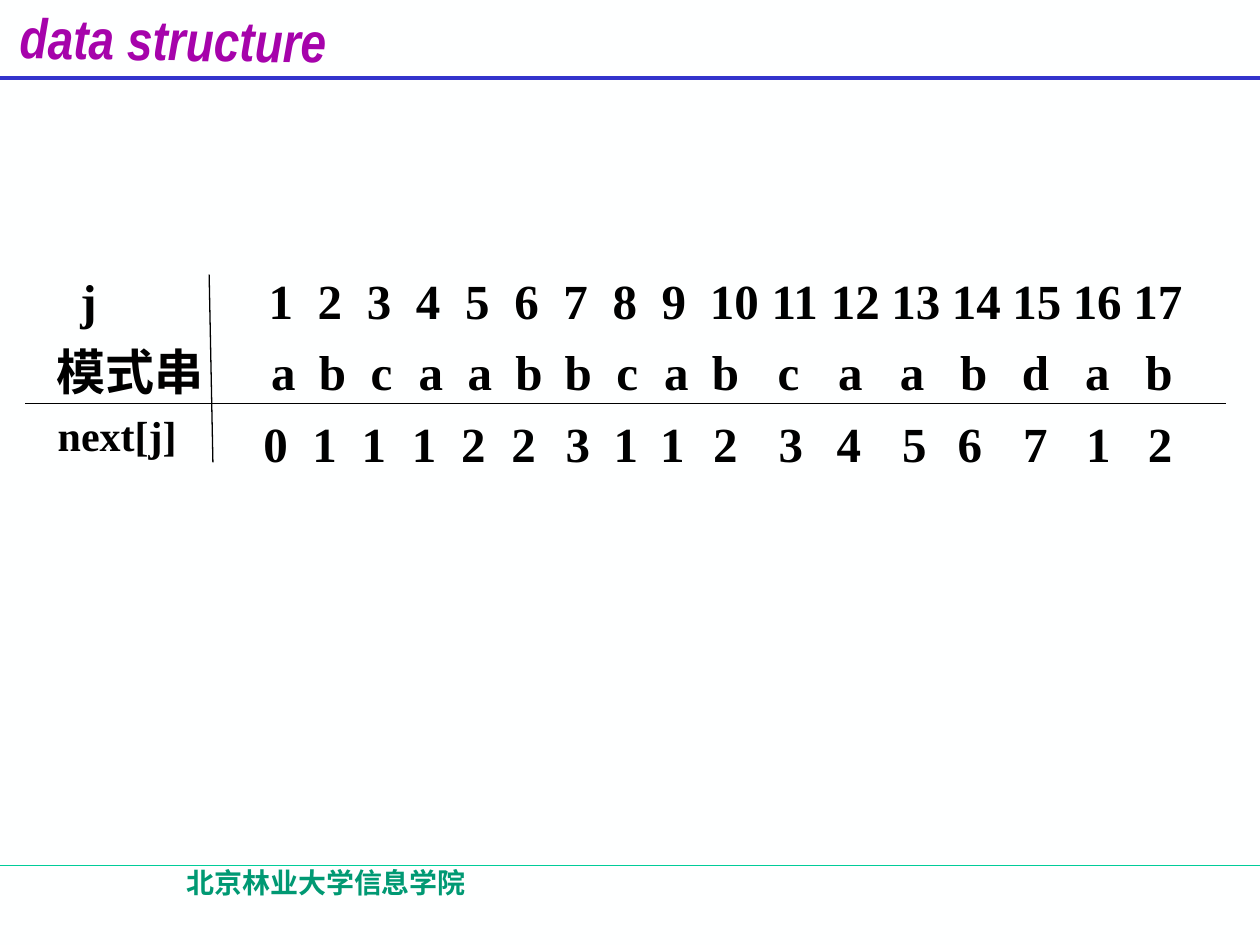
import dataclasses

import pptx
import pptx.dml.color
import pptx.enum.shapes
import pptx.enum.text
import pptx.oxml
import pptx.oxml.ns
import pptx.util

Inches = pptx.util.Inches
Pt = pptx.util.Pt
ALIGN = pptx.enum.text.PP_ALIGN


def rgb(value):
    return pptx.dml.color.RGBColor.from_string(value)


@dataclasses.dataclass(frozen=True)
class Theme:
    background: str = "FEFFFF"
    ink: str = "000000"
    title: str = "A603AB"
    header_rule: str = "3333CC"
    footer_rule: str = "00CC99"
    footer: str = "009973"
    serif: str = "Times New Roman"
    narrow: str = "Arial Narrow"
    cjk: str = "Noto Sans CJK SC"
    title_size: int = 32
    body_size: int = 28
    label_size: int = 24
    footer_size: int = 16
    thin: float = 0.75
    thick: float = 2.25


class SlideBuilder:
    def __init__(self, slide, theme):
        self.s = slide
        self.theme = theme
        fill = slide.background.fill
        fill.solid()
        fill.fore_color.rgb = rgb(theme.background)

    def line(self, x1, y1, x2, y2, color, width):
        c = self.s.shapes.add_connector(
            pptx.enum.shapes.MSO_CONNECTOR.STRAIGHT,
            Inches(x1), Inches(y1), Inches(x2), Inches(y2))
        c.line.color.rgb = rgb(color)
        c.line.width = Pt(width)
        c._element.spPr.append(pptx.oxml.parse_xml(
            "<a:effectLst %s/>" % pptx.oxml.ns.nsdecls("a")))

    def format(self, p, size, font, color, italic=None):
        for r in p.runs:
            r.font.size = Pt(size)
            r.font.name = font
            r.font.bold = True
            r.font.italic = italic
            r.font.color.rgb = rgb(color)
            ea = pptx.oxml.parse_xml('<a:ea %s typeface="%s"/>' % (
                pptx.oxml.ns.nsdecls("a"), self.theme.cjk))
            r.font._element.find(pptx.oxml.ns.qn("a:latin")).addnext(ea)

    def box(self, x, y, w, h, wrap=False, inset=True):
        sp = self.s.shapes.add_textbox(Inches(x), Inches(y), Inches(w), Inches(h))
        tf = sp.text_frame
        tf.word_wrap = wrap
        if not inset:
            tf.margin_left = tf.margin_right = 0
            tf.margin_top = tf.margin_bottom = 0
        return sp

    def text(self, text, x, y, w, h, size, font, color,
             italic=None, align=ALIGN.LEFT, wrap=False, inset=True):
        sp = self.box(x, y, w, h, wrap, inset)
        p = sp.text_frame.paragraphs[0]
        p.text = text
        p.alignment = align
        self.format(p, size, font, color, italic)
        return sp

    def tabbed_rows(self, rows, x, y, w, h, gap):
        tf = self.box(x, y, w, h, wrap=True).text_frame
        for i, (text, stops) in enumerate(rows):
            p = tf.paragraphs[0] if i == 0 else tf.add_paragraph()
            p.text = text
            tabs = pptx.oxml.parse_xml(
                "<a:tabLst %s/>" % pptx.oxml.ns.nsdecls("a"))
            for center, kind in stops:
                tab = tabs.makeelement(pptx.oxml.ns.qn("a:tab"), {
                    "pos": str(Inches(round(center - x - 0.1, 2))),
                    "algn": kind})
                tabs.append(tab)
            p._p.get_or_add_pPr().append(tabs)
            if i:
                p.space_before = Pt(gap)
            self.format(p, self.theme.body_size, self.theme.serif, self.theme.ink)


def centers(start, step, count):
    return [(start + step * i, "ctr") for i in range(count)]


def main():
    theme = Theme()
    prs = pptx.Presentation()
    prs.slide_width = Inches(10)
    prs.slide_height = Inches(7.5)
    b = SlideBuilder(prs.slides.add_slide(prs.slide_layouts[6]), theme)

    b.line(0, 6.87, 10, 6.87, theme.footer_rule, theme.thin)
    b.line(0, 0.62, 10, 0.62, theme.header_rule, theme.thick)
    title = b.text("data structure", 0.06, -0.01, 2.7, 0.54,
                   theme.title_size, theme.narrow, theme.title, italic=True)
    title.rotation = 0.8

    positions = "\t".join(str(j) for j in range(1, 18))
    pattern = "\t".join("abcaabbcabcaabdab")
    b.tabbed_rows([
        ("\tj\t" + positions,
         [(0.64, "l")] + centers(2.23, 0.39, 9) + centers(5.83, 0.48, 8)),
        ("模式串\t" + pattern,
         centers(2.25, 0.39, 10) + centers(6.26, 0.49, 7)),
    ], 0.35, 2.1, 9.29, 1.18, gap=7)

    b.text("next[j]", 0.36, 3.2, 1.3, 0.5,
           theme.label_size, theme.serif, theme.ink)
    b.line(0.2, 3.2, 9.73, 3.2, theme.ink, theme.thin)
    b.line(1.69, 3.67, 1.66, 2.18, theme.ink, theme.thin)

    next_lefts = [2.09, 2.48, 2.87, 3.27, 3.66, 4.06, 4.49, 4.87, 5.24,
                  5.66, 6.18, 6.64, 7.16, 7.6, 8.12, 8.62, 9.11]
    for value, left in zip("01112231123456712", next_lefts):
        b.text(value, left, 3.28, 0.2, 0.47, theme.body_size,
               theme.serif, theme.ink, inset=False)

    b.text("北京林业大学信息学院", 0.52, 6.82, 4.14, 0.5, theme.footer_size,
           theme.cjk, theme.footer, align=ALIGN.CENTER, wrap=True)

    prs.save("out.pptx")


if __name__ == "__main__":
    main()
